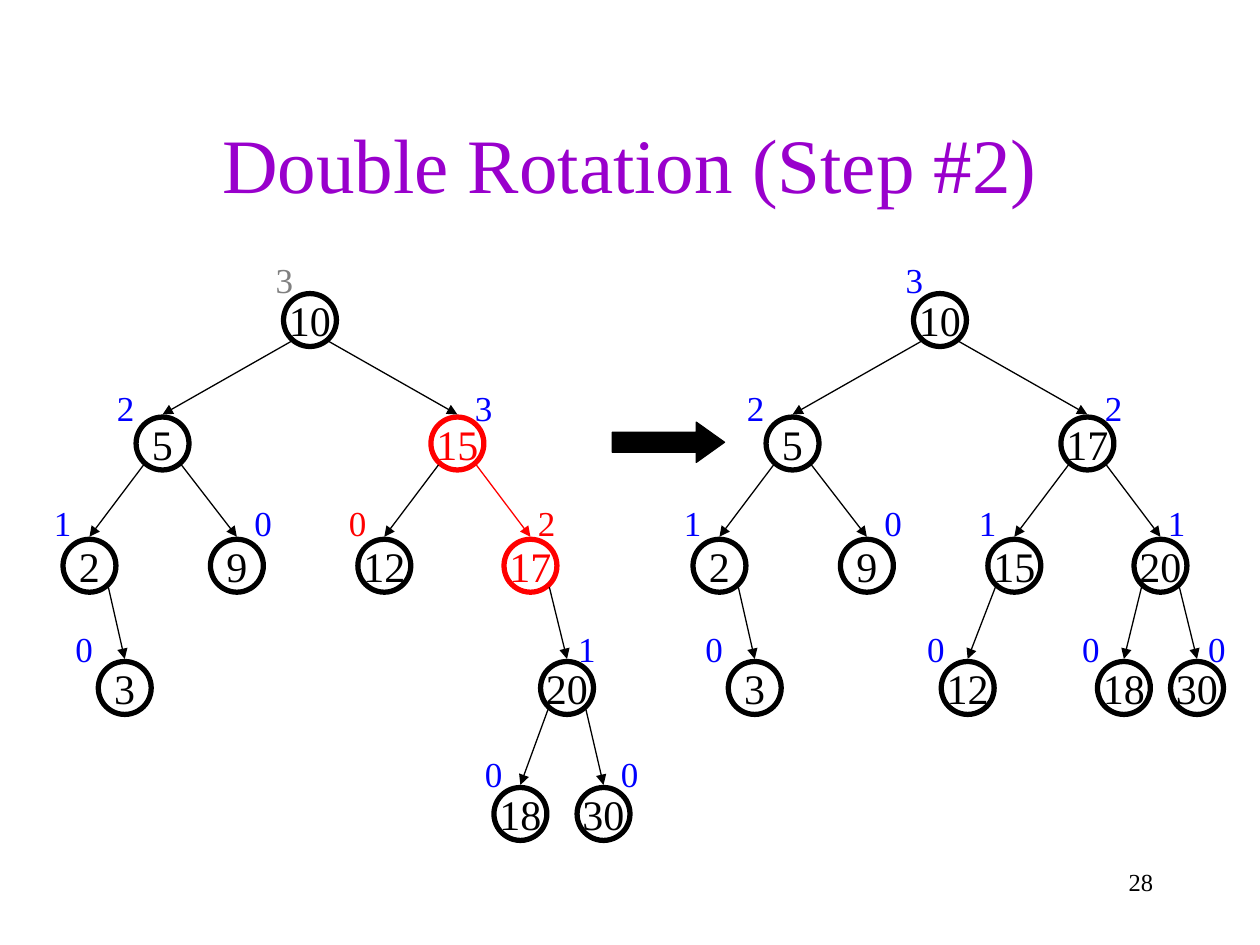
from lxml.etree import SubElement
from pptx import Presentation
from pptx.dml.color import RGBColor
from pptx.enum.shapes import MSO_CONNECTOR, MSO_SHAPE
from pptx.enum.text import MSO_ANCHOR, PP_ALIGN
from pptx.oxml.ns import qn
from pptx.util import Inches, Pt

COLORS = {"black": "000000", "red": "FF0000", "blue": "0000FF",
          "gray": "808080", "purple": "9900CC"}
NODE_ROWS = [2.54, 3.52, 4.49, 5.46, 6.46]
LABEL_ROWS = [2, 3.02, 3.93, 4.93, 5.92]
DIAMETER = 0.42


def rgb(name):
    return RGBColor.from_string(COLORS[name])


def write(tf, text, size=24, color="black", align=PP_ALIGN.CENTER,
          anchor=MSO_ANCHOR.MIDDLE, wrap=False):
    tf.word_wrap = wrap
    tf.vertical_anchor = anchor
    p = tf.paragraphs[0]
    p.alignment = align
    r = p.add_run()
    r.text = text
    r.font.name = "Times New Roman"
    r.font.size = Pt(size)
    r.font.color.rgb = rgb(color)


prs = Presentation()
prs.slide_width, prs.slide_height = Inches(10), Inches(7.5)
unit = prs.slide_width // 10
s = prs.slides.add_slide(prs.slide_layouts[5])

title = s.shapes.title
title.left, title.top, title.width, title.height = [
    int(v * unit) for v in (0.75, 0.67, 8.5, 1.25)]
write(title.text_frame, "Double Rotation (Step #2)", size=44, color="purple", wrap=True)

# value: (parent, column, row, height, label offset, node color, label color)
shared = {
    "10": (None, 2.46, 0, "3", -0.37, "black", "blue"),
    "5": ("10", 1.29, 1, "2", -0.46, "black", "blue"),
    "2": ("5", 0.71, 2, "1", -0.38, "black", "blue"),
    "9": ("5", 1.88, 2, "0", 0.04, "black", "blue"),
    "3": ("2", 0.99, 3, "0", -0.49, "black", "blue"),
}
before = shared | {
    "10": (None, 2.46, 0, "3", -0.37, "black", "gray"),
    "15": ("10", 3.63, 1, "3", 0.04, "red", "blue"),
    "12": ("15", 3.05, 2, "0", -0.38, "black", "red"),
    "17": ("15", 4.21, 2, "2", -0.04, "red", "red"),
    "20": ("17", 4.5, 3, "1", -0.01, "black", "blue"),
    "18": ("20", 4.13, 4, "0", -0.38, "black", "blue"),
    "30": ("20", 4.79, 4, "0", 0.04, "black", "blue"),
}
after = shared | {
    "17": ("10", 3.63, 1, "2", 0.04, "black", "blue"),
    "15": ("17", 3.05, 2, "1", -0.38, "black", "blue"),
    "20": ("17", 4.21, 2, "1", -0.04, "black", "blue"),
    "12": ("15", 2.68, 3, "0", -0.42, "black", "blue"),
    "18": ("20", 3.92, 3, "0", -0.43, "black", "blue"),
    "30": ("20", 4.5, 3, "0", -0.01, "black", "blue"),
}

for tree, offset in ((before, 0), (after, 5)):
    for value, (parent, col, row, height, shift, color, label_color) in tree.items():
        x, y = col + offset, NODE_ROWS[row]
        sp = s.shapes.add_shape(
            MSO_SHAPE.OVAL, int((x - DIAMETER / 2) * unit), int((y - DIAMETER / 2) * unit),
            int(DIAMETER * unit), int(DIAMETER * unit))
        sp.shadow.inherit = False
        sp.fill.background()
        sp.line.color.rgb = rgb(color)
        sp.line.width = Pt(3)
        write(sp.text_frame, value, color=color)

        label = s.shapes.add_textbox(
            int((x + shift) * unit), int(LABEL_ROWS[row] * unit),
            int(0.34 * unit), int(0.43 * unit))
        write(label.text_frame, height, size=20, color=label_color,
              align=PP_ALIGN.LEFT, anchor=MSO_ANCHOR.TOP)

        if parent:
            parent_col, parent_row, parent_color = [tree[parent][i] for i in (1, 2, 5)]
            side = 0.15 if col > parent_col else -0.15
            edge = s.shapes.add_connector(
                MSO_CONNECTOR.STRAIGHT,
                int((parent_col + offset + side) * unit),
                int((NODE_ROWS[parent_row] + 0.17) * unit),
                int(x * unit), int((y - 0.23) * unit))
            edge.line.color.rgb = rgb("red" if color == parent_color == "red" else "black")
            edge.line.width = Pt(0.75)
            spPr = edge._element.spPr
            SubElement(spPr.find(qn("a:ln")), qn("a:tailEnd"), type="triangle")
            SubElement(spPr, qn("a:effectLst"))

arrow = s.shapes.add_shape(
    MSO_SHAPE.RIGHT_ARROW, *[int(v * unit) for v in (4.86, 3.35, 0.89, 0.32)])
arrow.adjustments[0], arrow.adjustments[1] = 0.5, 0.7
arrow.shadow.inherit = False
arrow.fill.solid()
arrow.fill.fore_color.rgb = rgb("black")
arrow.line.color.rgb = rgb("black")
arrow.line.width = Pt(0.75)

number = s.shapes.add_textbox(*[int(v * unit) for v in (7.17, 6.83, 2.08, 0.5)])
write(number.text_frame, "28", size=14, align=PP_ALIGN.RIGHT,
      anchor=MSO_ANCHOR.TOP, wrap=True)

prs.save("out.pptx")
